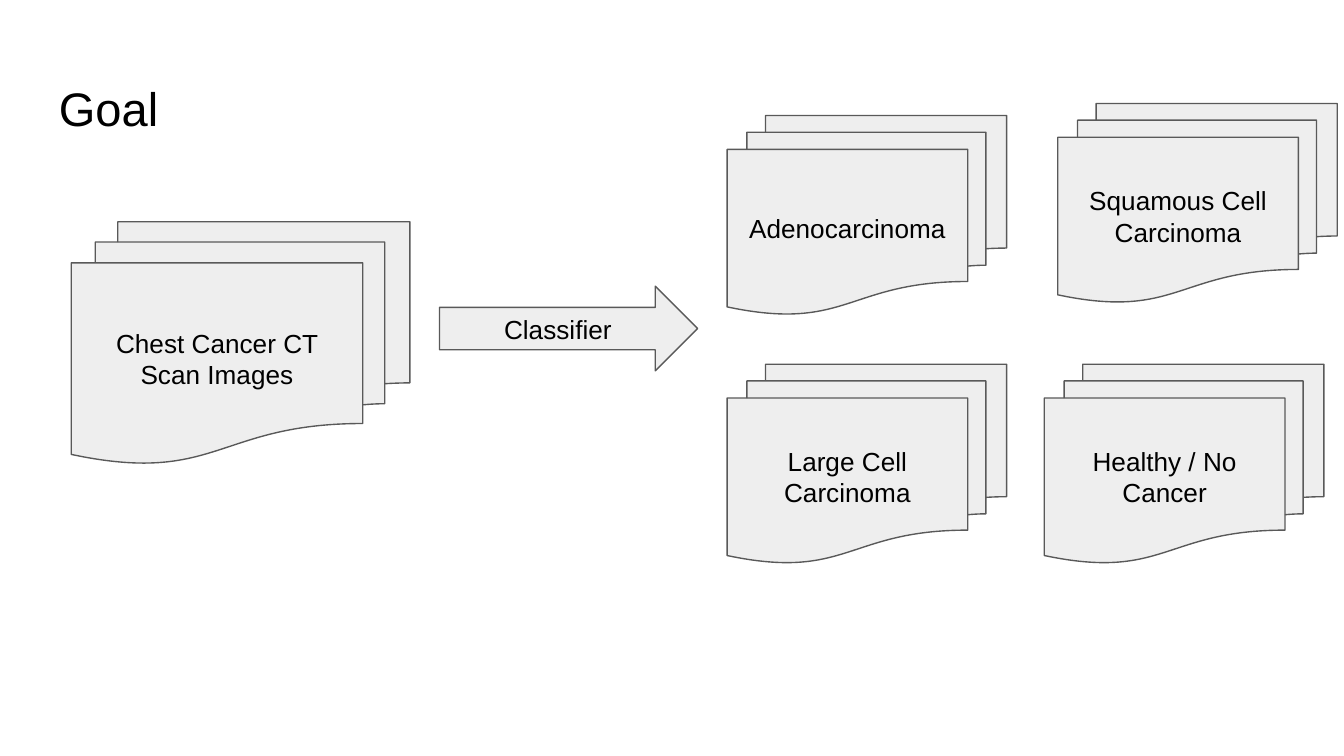
from pptx import Presentation
from pptx.dml.color import RGBColor
from pptx.enum.shapes import MSO_SHAPE
from pptx.enum.text import MSO_ANCHOR, PP_ALIGN
from pptx.util import Inches, Pt

FONT = "Arial"
TEXT_COLOR = "000000"
FILL_COLOR = "EEEEEE"
LINE_COLOR = "595959"
CLASS_SIZE = (2.08, 1.48)
CLASSES = [
    ("Adenocarcinoma", 5.41, 0.86),
    ("Large Cell Carcinoma", 5.41, 2.71),
    ("Healthy / No Cancer", 7.77, 2.71),
    ("Squamous Cell Carcinoma", 7.87, 0.77),
]


def color(value):
    return RGBColor.from_string(value)


def write_text(box, text, size, alignment, anchor):
    frame = box.text_frame
    frame.word_wrap = True
    frame.vertical_anchor = anchor
    frame.margin_left = frame.margin_right = Inches(0.1)
    frame.margin_top = frame.margin_bottom = Inches(0.1)
    para = frame.paragraphs[0]
    para.alignment = alignment
    span = para.add_run()
    span.text = text
    span.font.name = FONT
    span.font.size = Pt(size)
    span.font.color.rgb = color(TEXT_COLOR)


def add_title(page, text, left, top, width, height):
    box = page.shapes.add_textbox(
        Inches(left), Inches(top), Inches(width), Inches(height)
    )
    write_text(box, text, 25.2, PP_ALIGN.LEFT, MSO_ANCHOR.TOP)


def add_block(page, kind, text, left, top, width, height):
    box = page.shapes.add_shape(
        kind, Inches(left), Inches(top), Inches(width), Inches(height)
    )
    box.shadow.inherit = False
    box.fill.solid()
    box.fill.fore_color.rgb = color(FILL_COLOR)
    box.line.color.rgb = color(LINE_COLOR)
    box.line.width = Pt(0.75)
    write_text(box, text, 14, PP_ALIGN.CENTER, MSO_ANCHOR.MIDDLE)


def add_documents(page, text, left, top, width, height):
    add_block(page, MSO_SHAPE.FLOWCHART_MULTIDOCUMENT, text, left, top, width, height)


def add_arrow(page, text, left, top, width, height):
    add_block(page, MSO_SHAPE.RIGHT_ARROW, text, left, top, width, height)


def main():
    deck = Presentation()
    deck.slide_width = Inches(10)
    deck.slide_height = Inches(10 * 9 / 16)
    page = deck.slides.add_slide(deck.slide_layouts[6])

    add_title(page, "Goal", 0.34, 0.49, 9.32, 0.63)
    add_documents(page, "Chest Cancer CT Scan Images", 0.53, 1.65, 2.52, 1.8)
    add_arrow(page, "Classifier", 3.27, 2.13, 1.92, 0.63)
    for name, left, top in CLASSES:
        add_documents(page, name, left, top, *CLASS_SIZE)

    deck.save("out.pptx")


if __name__ == "__main__":
    main()
